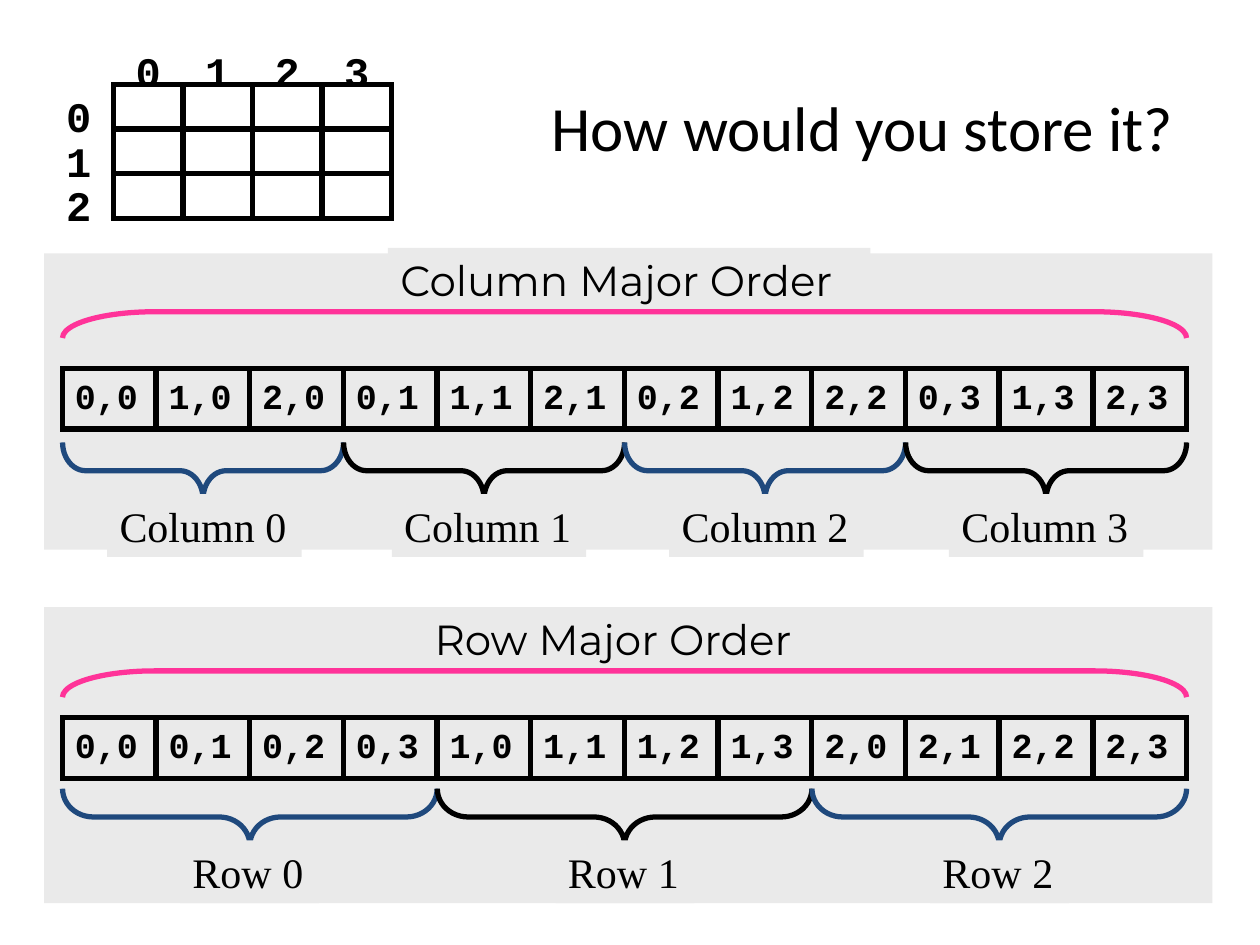
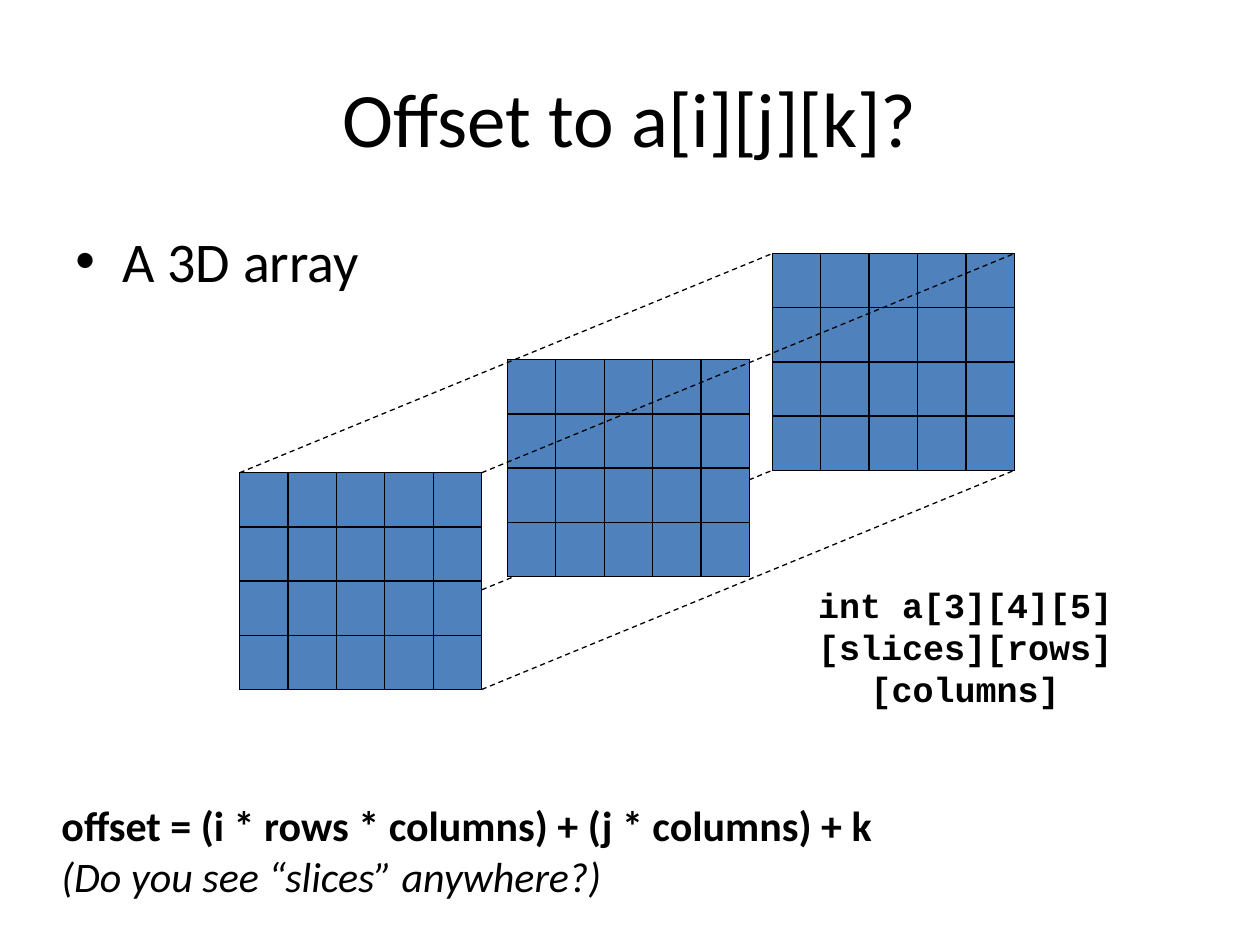
from dataclasses import dataclass

from lxml import etree
from pptx import Presentation
from pptx import util as u
from pptx.dml.color import RGBColor
from pptx.enum import dml, shapes, text
from pptx.oxml import ns

Cm, Pt = u.Cm, u.Pt
ST = shapes.MSO_SHAPE
AL = text.PP_ALIGN


@dataclass(frozen=True)
class Theme:
    ink: str = "000000"
    paper: str = "FFFFFF"
    panel: str = "EAEAEA"
    navy: str = "1F497D"
    pink: str = "FF3399"
    blue: str = "4F81BD"
    heavy: float = 3
    thin: float = 0.75
    title = {"name": "Calibri", "size": Pt(44)}
    subtitle = {"name": "Calibri", "size": Pt(36)}
    body = {"name": "Calibri", "size": Pt(32)}
    formula = {"name": "Calibri", "size": Pt(24), "bold": True}
    aside = {"name": "Calibri", "size": Pt(24), "italic": True}
    index = {"name": "Courier New", "size": Pt(24), "bold": True}
    code = {"name": "Courier New", "size": Pt(20), "bold": True}
    heading = {"name": "Montserrat", "size": Pt(24)}
    label = {"name": "Times New Roman", "size": Pt(24)}


T = Theme()


def add_box(s, frame, kind=ST.RECTANGLE, fill=None, line=None, width=T.heavy):
    """Add a preset shape, or a text box when kind is None; frame is in cm."""
    frame = [Cm(v) for v in frame]
    if kind is None:
        return s.shapes.add_textbox(*frame)
    sp = s.shapes.add_shape(kind, *frame)
    sp.shadow.inherit = False
    if fill:
        sp.fill.solid()
        sp.fill.fore_color.rgb = RGBColor.from_string(fill)
    else:
        sp.fill.background()
    if line:
        sp.line.color.rgb = RGBColor.from_string(line)
        sp.line.width = Pt(width)
        etree.SubElement(sp._element.spPr.find(ns.qn("a:ln")), ns.qn("a:miter"), lim="800000")
    else:
        sp.line.fill.background()
    return sp


def write(sp, lines, align=AL.LEFT, **frame_format):
    """Fill a shape with (words, font) lines; frame_format overrides the text frame."""
    tf = sp.text_frame
    defaults = {"word_wrap": False, "vertical_anchor": text.MSO_ANCHOR.TOP}
    for key, value in (defaults | frame_format).items():
        setattr(tf, key, value)
    for i, (words, font) in enumerate(lines):
        p = tf.add_paragraph() if i else tf.paragraphs[0]
        p.alignment = align
        r = p.add_run()
        r.text = words
        for key, value in font.items():
            setattr(r.font, key, value)
        r.font.color.rgb = RGBColor.from_string(T.ink)
    return tf


GROW = {"auto_size": text.MSO_AUTO_SIZE.SHAPE_TO_FIT_TEXT}
MIDDLE = {"word_wrap": True, "vertical_anchor": text.MSO_ANCHOR.MIDDLE}

prs = Presentation()
prs.slide_width, prs.slide_height = Cm(25.4), Cm(19.05)
blank = prs.slide_layouts[6]

# Slide 1: a 3 x 4 matrix and its two storage orders
s = prs.slides.add_slide(blank)
title = add_box(s, (8.86, 1.27, 15.04, 2.54), None)
write(title, [("How would you store it?", T.subtitle)], AL.RIGHT, **MIDDLE)

ROWS, COLS = 3, 4
grid_x, grid_y, cell_w, cell_h = 2.29, 1.7, 1.4, 0.9
for row in range(-1, ROWS):
    for col in range(-1, COLS):
        frame = (grid_x + col * cell_w, grid_y + row * cell_h, cell_w, cell_h)
        if row >= 0 and col >= 0:
            add_box(s, frame, fill=T.paper, line=T.ink)
        elif row != col:
            write(add_box(s, frame, None), [(str(max(row, col)), T.index)], AL.CENTER)

panels = [
    {"name": "Column", "top": 5.11, "title": (7.82, 5.0, 9.73, 1.27),
     "cells": [f"{r},{c}" for c in range(COLS) for r in range(ROWS)],
     "bracket_y": 6.55, "cells_y": 7.43, "brace_y": 9.49, "curve": 0.408,
     "labels_x": (2.16, 7.9, 13.49, 19.13), "label_y": 9.96, "label_w": 3.92},
    {"name": "Row", "top": 12.24, "title": (8.51, 12.24, 8.26, 1.27),
     "cells": [f"{r},{c}" for r in range(ROWS) for c in range(COLS)],
     "bracket_y": 13.79, "cells_y": 14.47, "brace_y": 16.47, "curve": 0.545,
     "labels_x": (3.63, 11.2, 18.75), "label_y": 16.94, "label_w": 2.8},
]
strip_x, strip_w = 1.26, 22.66
bracket_h, brace_h = 0.53, 1.14
for panel in panels:
    add_box(s, (0.89, panel["top"], 23.55, 5.97), fill=T.panel)
    slot = strip_w / len(panel["cells"])
    for i, pair in enumerate(panel["cells"]):
        cell = add_box(s, (strip_x + i * slot, panel["cells_y"], slot, 1.22),
                       fill=T.panel, line=T.ink)
        write(cell, [(pair, T.code)], **GROW)

    # Braces and bracket lie on their side, so their frames are set around the centre
    span = strip_w / len(panel["labels_x"])
    for i in range(len(panel["labels_x"])):
        centre = strip_x + (i + 0.5) * span
        brace = add_box(s, (centre - brace_h / 2, panel["brace_y"] - span / 2, brace_h, span),
                        ST.RIGHT_BRACE, T.panel, T.ink if i % 2 else T.navy)
        brace.rotation = 90
        brace.adjustments[0] = panel["curve"]
    for i, x in enumerate(panel["labels_x"]):
        label = add_box(s, (x, panel["label_y"], panel["label_w"], 1.27), fill=T.panel)
        write(label, [(f"{panel['name']} {i}", T.label)], **GROW)

    heading = add_box(s, panel["title"], fill=T.panel)
    write(heading, [(f"{panel['name']} Major Order", T.heading)], **GROW)
    bracket = add_box(s, (strip_x + (strip_w - bracket_h) / 2,
                          panel["bracket_y"] - strip_w / 2, bracket_h, strip_w),
                      ST.LEFT_BRACKET, T.panel, T.pink)
    bracket.rotation = 90
    bracket.adjustments[0] = 3.51

# Slide 2: three slices of a 3D array joined by dashed edges
s = prs.slides.add_slide(blank)
SLICE_ROWS, SLICE_COLS = 4, 5
slice_w, slice_h = 4.88, 4.37
front, middle, back = (4.83, 9.53), (10.23, 7.25), (15.57, 5.11)

# The lower left edge is hidden behind the slices; the other three lie on top
edges = []
for dx, dy in ((0, slice_h), (0, 0), (slice_w, slice_h), (slice_w, 0)):
    ends = [Cm(v) for x, y in (front, back) for v in (x + dx, y + dy)]
    edge = s.shapes.add_connector(shapes.MSO_CONNECTOR.STRAIGHT, *ends)
    edge.line.color.rgb = RGBColor.from_string(T.ink)
    edge.line.width = Pt(T.thin)
    edge.line.dash_style = dml.MSO_LINE.DASH
    etree.SubElement(edge._element.spPr, ns.qn("a:effectLst"))
    edges.append(edge)

title = add_box(s, (1.27, 0.76, 22.86, 3.18), None)
write(title, [("Offset to a[i][j][k]?", T.title)], AL.CENTER, **MIDDLE)

body = add_box(s, (1.27, 4.44, 22.86, 12.57), None)
tf = write(body, [("A 3D array", T.body)], word_wrap=True)
pPr = tf.paragraphs[0]._p.get_or_add_pPr()
for key, value in {"marL": Cm(0.95), "indent": -Cm(0.95)}.items():
    pPr.set(key, str(value))
etree.SubElement(pPr, ns.qn("a:buFont"), typeface="Arial")
etree.SubElement(pPr, ns.qn("a:buChar"), char="•")

w, h = slice_w / SLICE_COLS, slice_h / SLICE_ROWS
for x, y in (middle, front, back):
    for row in range(SLICE_ROWS):
        for col in range(SLICE_COLS):
            add_box(s, (x + col * w, y + row * h, w, h), fill=T.blue, line=T.ink, width=T.thin)
for edge in edges[1:]:
    s.shapes._spTree.append(edge._element)

declaration = add_box(s, (14.36, 11.63, 10.2, 1.96), None)
write(declaration, [("int a[3][4][5]", T.code), ("[slices][rows][columns]", T.code)],
      AL.CENTER, word_wrap=True)

formula = add_box(s, (0.99, 16.0, 17.02, 2.31), None)
write(formula, [("offset = (i * rows * columns) + (j * columns) + k", T.formula),
                ("(Do you see “slices” anywhere?)", T.aside)], **GROW)

prs.save("out.pptx")
